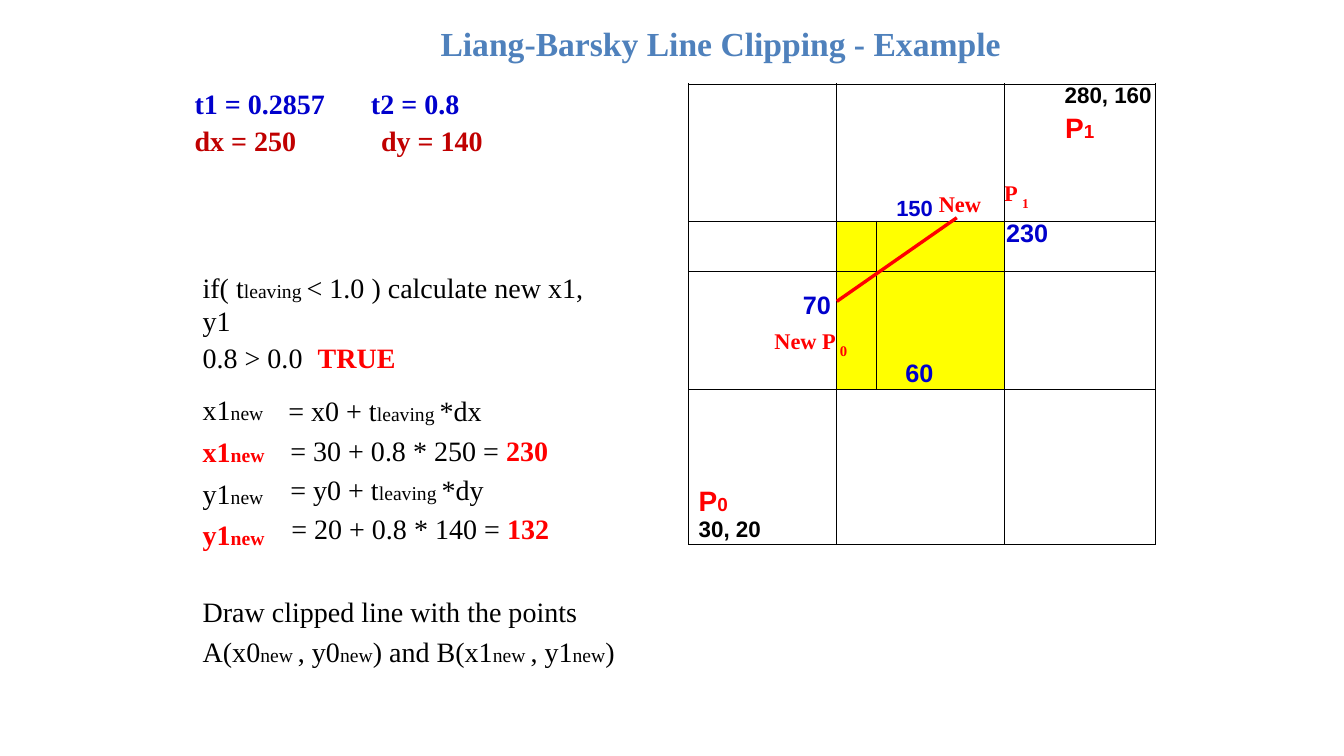
import pptx
import pptx.util
import pptx.dml.color
import pptx.enum.shapes
import pptx.enum.text
import lxml.etree
from pptx.util import Inches, Pt

TIMES, ARIAL = "Times New Roman", "Arial"
BLACK, RED, BLUE, CRIMSON, TITLE, YELLOW = (
    "000000", "FF0000", "0000CC", "C00000", "4F81BC", "FFFF00")
NS = "{http://schemas.openxmlformats.org/drawingml/2006/main}"
ALIGN = pptx.enum.text.PP_ALIGN
rgb = pptx.dml.color.RGBColor.from_string


def write(para, spans, before=0, indent=0, spacing=None, align=None):
    """Fill a paragraph with spans: text, size, colour, bold, font, baseline."""
    para.space_before = Pt(before)
    para.line_spacing = spacing
    para.alignment = align
    if indent:
        para._p.get_or_add_pPr().set("marL", str(Inches(indent)))
    for text, size, colour, *rest in spans:
        bold, font, baseline = rest + [False, TIMES, 0][len(rest):]
        span = para.add_run()
        span.text = text
        span.font.size, span.font.bold, span.font.name = Pt(size), bold, font
        span.font.color.rgb = rgb(colour)
        if baseline:
            span._r.get_or_add_rPr().set("baseline", str(baseline * 1000))


def add_text(left, top, width, height, inset, lines):
    """Add a text box whose lines are (spans, paragraph options)."""
    box = page.shapes.add_textbox(Inches(left), Inches(top), Inches(width), Inches(height))
    frame = box.text_frame
    frame.word_wrap = True
    frame.margin_left = Inches(0.01)
    frame.margin_right = frame.margin_bottom = 0
    frame.margin_top = Inches(inset)
    for number, (spans, options) in enumerate(lines):
        para = frame.add_paragraph() if number else frame.paragraphs[0]
        write(para, spans, **options)
    return frame


deck = pptx.Presentation()
deck.slide_width, deck.slide_height = Inches(13.33), Inches(7.5)
page = deck.slides.add_slide(deck.slide_layouts[6])

# Clipping regions
widths = [1.46, 0.4, 1.27, 1.5]
heights = [0.27, 0.53, 0.56, 0.5, 0.55, 0.34, 0.28, 1.54]
merged_rows = [0, 1, 2, 7]
ruled_rows = [0, 3, 4, 7, 8]
grid = page.shapes.add_table(
    len(heights), len(widths), Inches(6.83), Inches(0.83),
    Inches(sum(widths)), Inches(sum(heights))).table
grid.first_row = grid.horz_banding = False
for column, width in zip(grid.columns, widths):
    column.width = Inches(width)
for row, height in zip(grid.rows, heights):
    row.height = Inches(height)

for r in range(len(heights)):
    for c in range(len(widths)):
        cell = grid.cell(r, c)
        cell.margin_left = cell.margin_right = cell.margin_top = cell.margin_bottom = 0
        cell.text_frame.paragraphs[0]._p.get_or_add_endParaRPr().set("sz", "1000")
        merged = r in merged_rows
        sides = {"lnL": not (merged and c == 2), "lnR": not (merged and c == 1),
                 "lnT": r in ruled_rows, "lnB": r + 1 in ruled_rows}
        for side, ruled in sides.items():
            line = lxml.etree.SubElement(cell._tc.get_or_add_tcPr(), NS + side, w=str(Pt(0.25)))
            fill = lxml.etree.SubElement(line, NS + ("solidFill" if ruled else "noFill"))
            if ruled:
                lxml.etree.SubElement(fill, NS + "srgbClr", val=BLACK)
        if c in (1, 2) and not merged:
            cell.fill.solid()
            cell.fill.fore_color.rgb = rgb(YELLOW)
        else:
            cell.fill.background()

grid.cell(0, 0).merge(grid.cell(2, 0))
for r in merged_rows:
    grid.cell(r, 1).merge(grid.cell(r, 2))

# Region labels: row, column, left, top and right margins, spans, options
labels = [
    (0, 3, 0.6, 0, 0, [("280, 160", 16, BLACK, True, ARIAL)], dict(spacing=Pt(17.6))),
    (1, 3, 0, 0, 0, [("P", 20, RED, True, ARIAL), ("1", 13.5, RED, True, ARIAL)],
     dict(spacing=Pt(23.9), align=ALIGN.CENTER)),
    (2, 1, 0.6, 0.14, 0, [("150 ", 27, BLUE, True, ARIAL, -9), ("New", 16, RED, True)],
     dict(before=10.2)),
    (2, 3, 0, 0.17, 0, [("P ", 16, RED, True), ("1", 16.5, RED, True, TIMES, -30)],
     dict(before=12.2)),
    (3, 3, 0.02, 0, 0, [("230", 18, BLUE, True, ARIAL)], dict(spacing=Pt(19.6))),
    (4, 0, 0, 0.2, 0.05, [("70", 18, BLUE, True, ARIAL)], dict(before=14.2, align=ALIGN.RIGHT)),
    (5, 0, 0, 0.03, 0, [("New P", 16, RED, True)], dict(before=1.9, align=ALIGN.RIGHT)),
    (5, 1, 0.04, 0.16, 0, [("0", 10.5, RED, True)], dict(before=11.2, spacing=Pt(11.9))),
    (6, 2, 0.29, 0, 0, [("60", 18, BLUE, True, ARIAL)], dict(spacing=Pt(19.4))),
    (7, 0, 0.1, 0.95, 0, [("P", 20, RED, True, ARIAL), ("0", 13.5, RED, True, ARIAL)],
     dict(spacing=Pt(23.4))),
]
for r, c, left, top, right, spans, options in labels:
    cell = grid.cell(r, c)
    cell.margin_left, cell.margin_top, cell.margin_right = Inches(left), Inches(top), Inches(right)
    write(cell.text_frame.paragraphs[0], spans, **options)
write(grid.cell(7, 0).text_frame.add_paragraph(),
      [("30, 20", 16, BLACK, True, ARIAL)], spacing=Pt(17.9))

# Clipped line
clipped = page.shapes.add_connector(
    pptx.enum.shapes.MSO_CONNECTOR.STRAIGHT,
    Inches(8.3), Inches(2.99), Inches(9.49), Inches(2.16))
clipped.line.color.rgb = rgb(RED)
clipped.line.width = Pt(2.4)
lxml.etree.SubElement(clipped._element.spPr, NS + "effectLst")

# Title
add_text(4.36, 0.22, 5.7, 0.43, 0.01, [
    ([("Liang-Barsky Line Clipping - Example", 24, TITLE, True)], dict(before=1))])

# Given values
for left, width, t_text, d_text, indent in [
        (1.92, 1.4, "t1 = 0.2857", "dx = 250", 0),
        (3.67, 1.2, "t2 = 0.8", "dy = 140", 0.1)]:
    add_text(left, 0.82, width, 0.75, 0.04, [
        ([(t_text, 20, BLUE, True)], dict(before=2.9)),
        ([(d_text, 20, CRIMSON, True)], dict(before=1.9, indent=indent))])

# Leaving condition
condition = add_text(2, 2.64, 4, 1.1, 0.04, [
    ([("if( t", 20, BLACK), ("leaving ", 14, BLACK),
      ("< 1.0 ) calculate new x1, y1", 20, BLACK)], dict(before=2.9)),
    ([("0.8 > 0.0\t", 20, BLACK), ("TRUE", 20, RED, True)], dict(before=1.9))])
stops = lxml.etree.SubElement(condition.paragraphs[1]._p.get_or_add_pPr(), NS + "tabLst")
lxml.etree.SubElement(stops, NS + "tab", pos=str(Inches(1.14)), algn="l")

# New end point: names, then formulas
add_text(2, 3.82, 0.75, 1.63, 0.01, [
    ([(name, 20, colour, bold), ("new", 14, colour, bold)], dict(before=1, spacing=1.2))
    for name in ("x1", "y1") for colour, bold in ((BLACK, False), (RED, True))])

formulas = []
for start, delta, product, result, before, indent in [
        ("x0", "dx", "30 + 0.8 * 250", "230", (5.8, 4.8), (0, 0.02)),
        ("y0", "dy", "20 + 0.8 * 140", "132", (4, 4), (0.02, 0.03))]:
    formulas += [
        ([(f"= {start} + t", 20, BLACK), ("leaving ", 14, BLACK), (f"*{delta}", 20, BLACK)],
         dict(before=before[0], indent=indent[0])),
        ([(f"= {product} = ", 20, BLACK), (result, 20, RED, True)],
         dict(before=before[1], indent=indent[1]))]
add_text(2.85, 3.82, 2.8, 1.61, 0.08, formulas)

# Conclusion
points = [("A(x0", "new "), (", y0", "new"), (") and B(x1", "new "), (", y1", "new")]
ending = [span for large, small in points
          for span in ((large, 20, BLACK), (small, 14, BLACK))] + [(")", 20, BLACK)]
add_text(2, 5.83, 4.78, 0.8, 0.01, [
    (spans, dict(before=1, spacing=1.17))
    for spans in ([("Draw clipped line with the points", 20, BLACK)], ending)])

deck.save("out.pptx")
